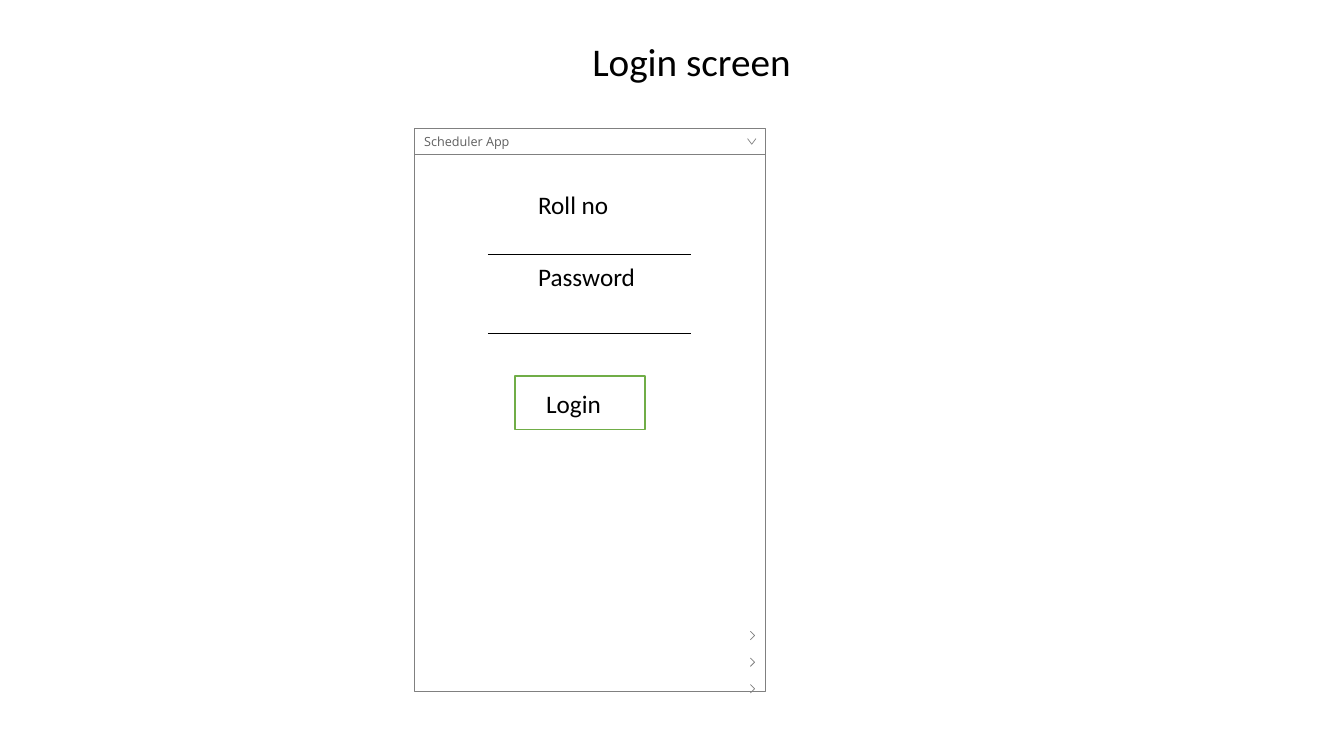
from lxml.etree import SubElement
from pptx import Presentation
from pptx.dml.color import RGBColor
from pptx.enum.shapes import MSO_CONNECTOR as Conn, MSO_SHAPE as Shape
from pptx.enum.text import MSO_ANCHOR as Anchor, PP_ALIGN as Align
from pptx.oxml.ns import qn
from pptx.util import Pt

BLACK = RGBColor(0, 0, 0)
WHITE = RGBColor(255, 255, 255)
GRAY = RGBColor(0x80, 0x80, 0x80)
DARK_GRAY = RGBColor(0x5F, 0x5F, 0x5F)
GREEN = RGBColor(0x70, 0xAD, 0x47)

TITLE = ("Login screen", (133.9, 26.6, 720, 49))
APP_NAME = "Scheduler App"
LABELS = [
    ("Roll no", (377.3, 131.8, 98.6, 28.8)),
    ("Password", (377.3, 182.9, 98.6, 28.8)),
    ("Login", (383, 273.6, 92.9, 28.8)),
]
FIELD_LINES = [181.4, 238.3]
FIELD_LEFT, FIELD_RIGHT = 348.5, 493.9
BUTTON = (367.9, 268.6, 92.9, 38.2)

LEFT, TOP, WIDTH = 295.9, 91.4, 250.6
BAR_HEIGHT, BODY_HEIGHT = 18.8, 383.8
CHEVRON_X = 537.1
ROW_Y, ROW_STEP, ROWS = 454.3, 18.7, 3

TITLE_FONT = {"name": "Calibri", "size": Pt(28), "bold": False}
LABEL_FONT = {"name": "Calibri", "size": Pt(18)}
APP_FONT = {"name": "Open Sans", "size": Pt(9)}


def set_attrs(obj, values):
    for name, value in values.items():
        setattr(obj, name, value)


def write(tf, text, font, color, align=Align.LEFT):
    p = tf.paragraphs[0]
    p.alignment = align
    r = p.add_run()
    r.text = text
    set_attrs(r.font, font)
    r.font.color.rgb = color
    return p


def outline(sp, color, width):
    sp.line.color.rgb = color
    sp.line.width = Pt(width)


def add_box(s, box, color, width):
    sp = s.shapes.add_shape(Shape.RECTANGLE, *map(Pt, box))
    sp.shadow.inherit = False
    sp.fill.solid()
    sp.fill.fore_color.rgb = WHITE
    outline(sp, color, width)
    return sp


def add_chevron(s, points):
    builder = s.shapes.build_freeform(*points[0], scale=Pt(1))
    builder.add_line_segments(points[1:], close=False)
    sp = builder.convert_to_shape()
    sp.shadow.inherit = False
    sp.fill.background()
    outline(sp, GRAY, 0.5)


def add_field_line(s, y):
    line = s.shapes.add_connector(Conn.STRAIGHT, Pt(FIELD_LEFT), Pt(y), Pt(FIELD_RIGHT), Pt(y))
    outline(line, BLACK, 0.5)
    SubElement(line._element.spPr, qn("a:effectLst"))


def add_label(s, text, box):
    tf = s.shapes.add_textbox(*map(Pt, box)).text_frame
    tf.word_wrap = True
    write(tf, text, LABEL_FONT, BLACK)


def main():
    prs = Presentation()
    set_attrs(prs, {"slide_width": Pt(960), "slide_height": Pt(540)})
    s = prs.slides.add_slide(prs.slide_layouts[5])

    text, box = TITLE
    title = s.shapes.title
    set_attrs(title, dict(zip(("left", "top", "width", "height"), map(Pt, box))))
    title.text_frame.vertical_anchor = Anchor.TOP
    p = write(title.text_frame, text, TITLE_FONT, BLACK, Align.CENTER)
    set_attrs(p, {"line_spacing": 0.9, "space_before": Pt(10)})

    bar = add_box(s, (LEFT, TOP, WIDTH, BAR_HEIGHT), GRAY, 0.5)
    tf = bar.text_frame
    set_attrs(tf, {"vertical_anchor": Anchor.MIDDLE, "margin_right": Pt(18)})
    write(tf, APP_NAME, APP_FONT, DARK_GRAY)
    y = TOP + BAR_HEIGHT / 2
    add_chevron(s, [(CHEVRON_X - 3, y - 1.5), (CHEVRON_X, y + 1.8), (CHEVRON_X + 3, y - 1.5)])

    add_box(s, (LEFT, TOP + BAR_HEIGHT, WIDTH, BODY_HEIGHT), GRAY, 0.5)
    for row in range(ROWS):
        y = ROW_Y + row * ROW_STEP
        add_chevron(s, [(CHEVRON_X - 1.5, y + 3), (CHEVRON_X + 1.5, y), (CHEVRON_X - 1.5, y - 3)])

    for y in FIELD_LINES:
        add_field_line(s, y)
    add_box(s, BUTTON, GREEN, 1)
    for text, box in LABELS:
        add_label(s, text, box)

    prs.save("out.pptx")


if __name__ == "__main__":
    main()
